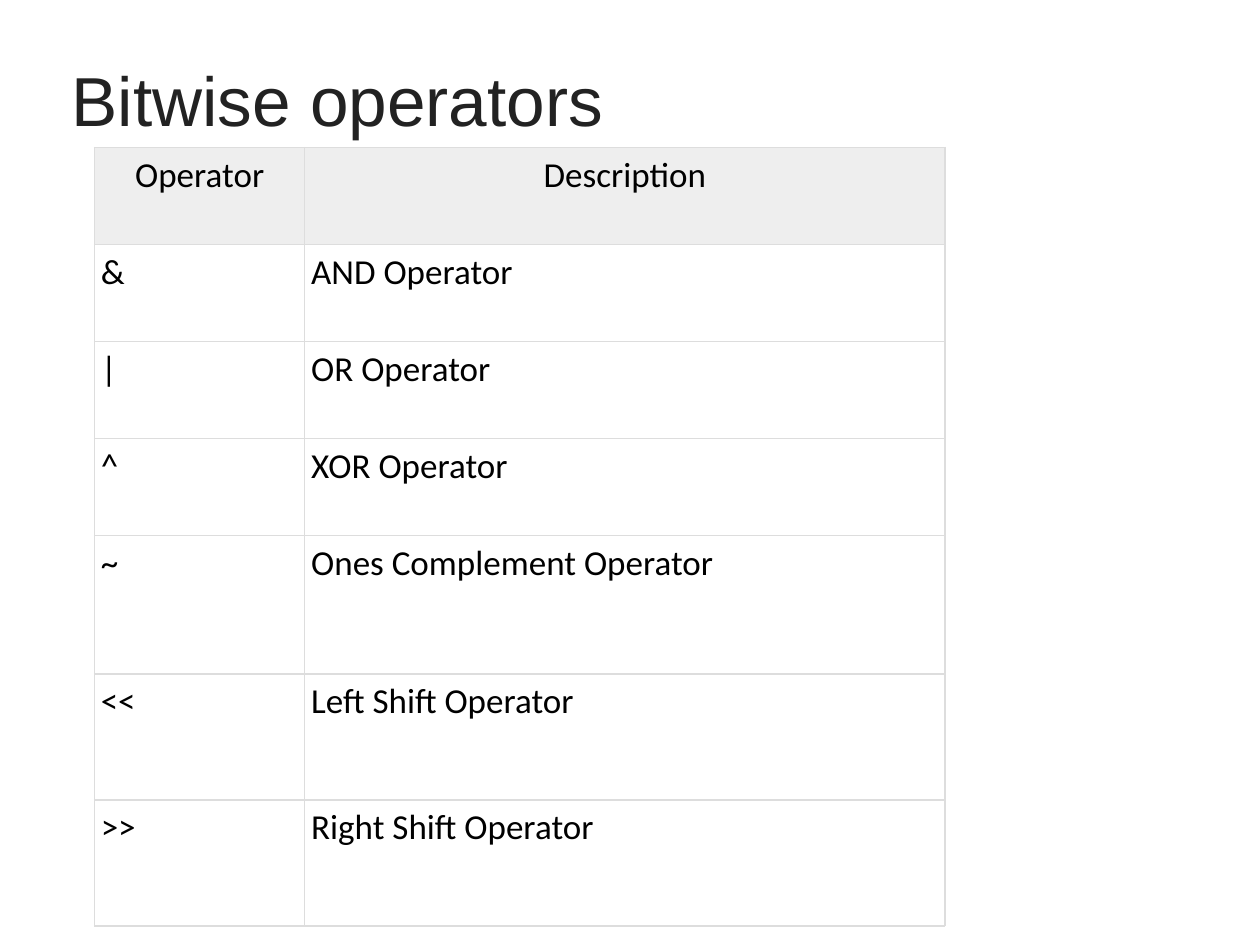
from dataclasses import dataclass

from lxml import etree
from pptx import Presentation
from pptx.dml.color import RGBColor
from pptx.enum.text import MSO_ANCHOR, PP_ALIGN
from pptx.oxml.ns import qn
from pptx.util import Inches, Pt

LEFT, CENTER = PP_ALIGN.LEFT, PP_ALIGN.CENTER
TOP, MIDDLE = MSO_ANCHOR.TOP, MSO_ANCHOR.MIDDLE
TITLE_ONLY = 5


@dataclass(frozen=True)
class Theme:
    title_font: str = "Arial"
    title_size: float = 39.6
    title_color: str = "222222"
    table_font: str = "Calibri"
    table_size: float = 20
    table_color: str = "000000"
    header_fill: str = "EEEEEE"
    border_color: str = "DDDDDD"
    border_width: float = 0.75
    cell_inset: float = 0.05


THEME = Theme()
COLUMN_WIDTHS = (1.67, 5.08)
ROW_HEIGHTS = (0.77,) * 4 + (1.1, 1, 1)
OPERATORS = (
    ("Operator", "Description"),
    ("&", "AND Operator"),
    ("|", "OR Operator"),
    ("^", "XOR Operator"),
    ("~", "Ones Complement Operator"),
    ("<<", "Left Shift Operator"),
    (">>", "Right Shift Operator"),
)


def style_paragraph(para, name, size, color, align):
    para.alignment = align
    font = para.font
    font.name, font.size, font.bold = name, Pt(size), False
    font.color.rgb = RGBColor.from_string(color)


def add_title(page, text):
    title = page.shapes.title
    title.left, title.top = Inches(0.5), Inches(0.3)
    title.width, title.height = Inches(9), Inches(0.87)
    frame = title.text_frame
    frame.text = text
    frame.vertical_anchor = MIDDLE
    frame.margin_left, frame.margin_top = Inches(0.07), Inches(0.15)
    style_paragraph(frame.paragraphs[0], THEME.title_font, THEME.title_size,
                    THEME.title_color, LEFT)


def set_borders(cell):
    """Draw all four edges; they must precede the fill in the cell properties."""
    properties = cell._tc.get_or_add_tcPr()
    for position, edge in enumerate(("a:lnL", "a:lnR", "a:lnT", "a:lnB")):
        line = etree.Element(qn(edge), w=str(Pt(THEME.border_width)))
        fill = etree.SubElement(line, qn("a:solidFill"))
        etree.SubElement(fill, qn("a:srgbClr"), val=THEME.border_color)
        properties.insert(position, line)


def fill_cell(cell, text, is_header):
    cell.text = text
    cell.vertical_anchor = TOP
    inset = Inches(THEME.cell_inset)
    cell.margin_left = cell.margin_right = inset
    cell.margin_top = cell.margin_bottom = inset
    if is_header:
        cell.fill.solid()
        cell.fill.fore_color.rgb = RGBColor.from_string(THEME.header_fill)
    else:
        cell.fill.background()
    style_paragraph(cell.text_frame.paragraphs[0], THEME.table_font,
                    THEME.table_size, THEME.table_color,
                    CENTER if is_header else LEFT)
    set_borders(cell)


def add_operator_table(page, rows):
    table = page.shapes.add_table(
        len(rows), len(COLUMN_WIDTHS), Inches(0.75), Inches(1.17),
        Inches(sum(COLUMN_WIDTHS)), Inches(sum(ROW_HEIGHTS))).table
    table.first_row = table.horz_banding = False
    for column, width in zip(table.columns, COLUMN_WIDTHS):
        column.width = Inches(width)
    for row, height in zip(table.rows, ROW_HEIGHTS):
        row.height = Inches(height)
    for row_index, texts in enumerate(rows):
        for column_index, text in enumerate(texts):
            fill_cell(table.cell(row_index, column_index), text, row_index == 0)


def main():
    deck = Presentation()
    deck.slide_width, deck.slide_height = Inches(10), Inches(7.5)
    page = deck.slides.add_slide(deck.slide_layouts[TITLE_ONLY])
    add_title(page, "Bitwise operators")
    add_operator_table(page, OPERATORS)
    deck.save("out.pptx")


if __name__ == "__main__":
    main()
